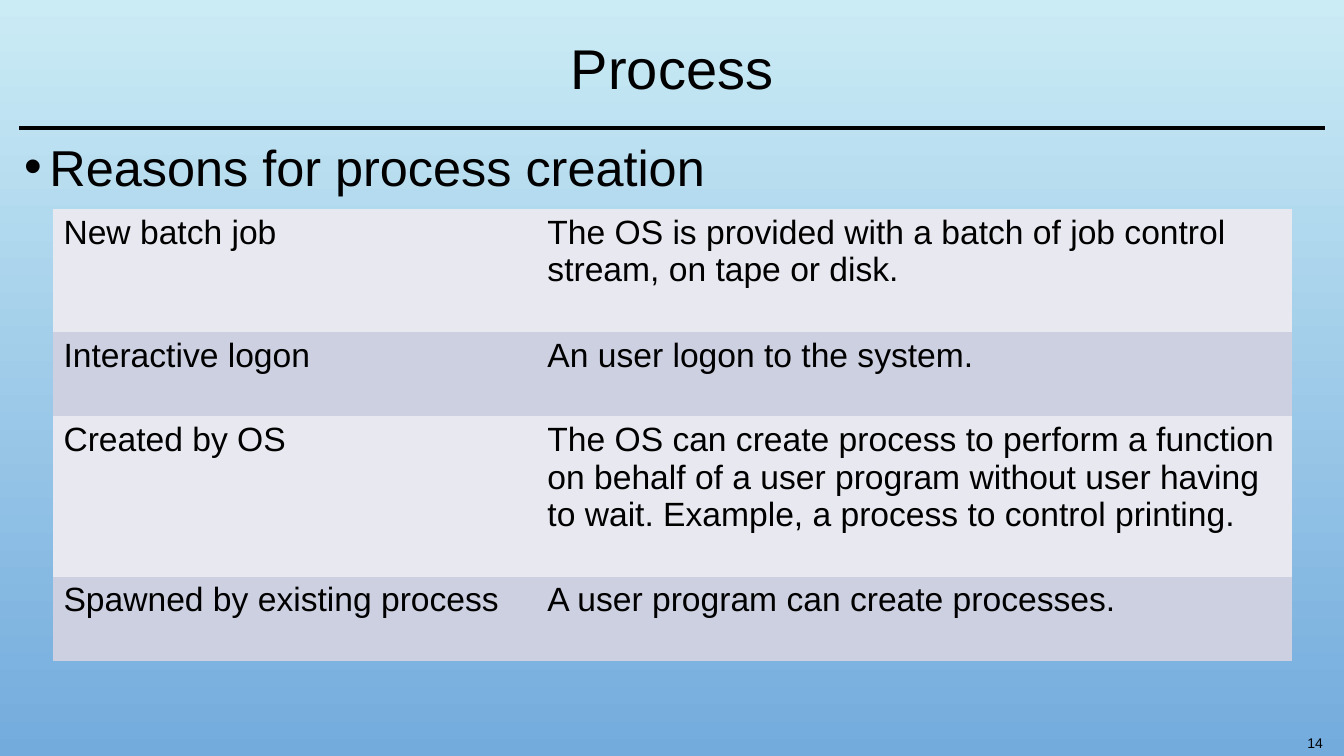
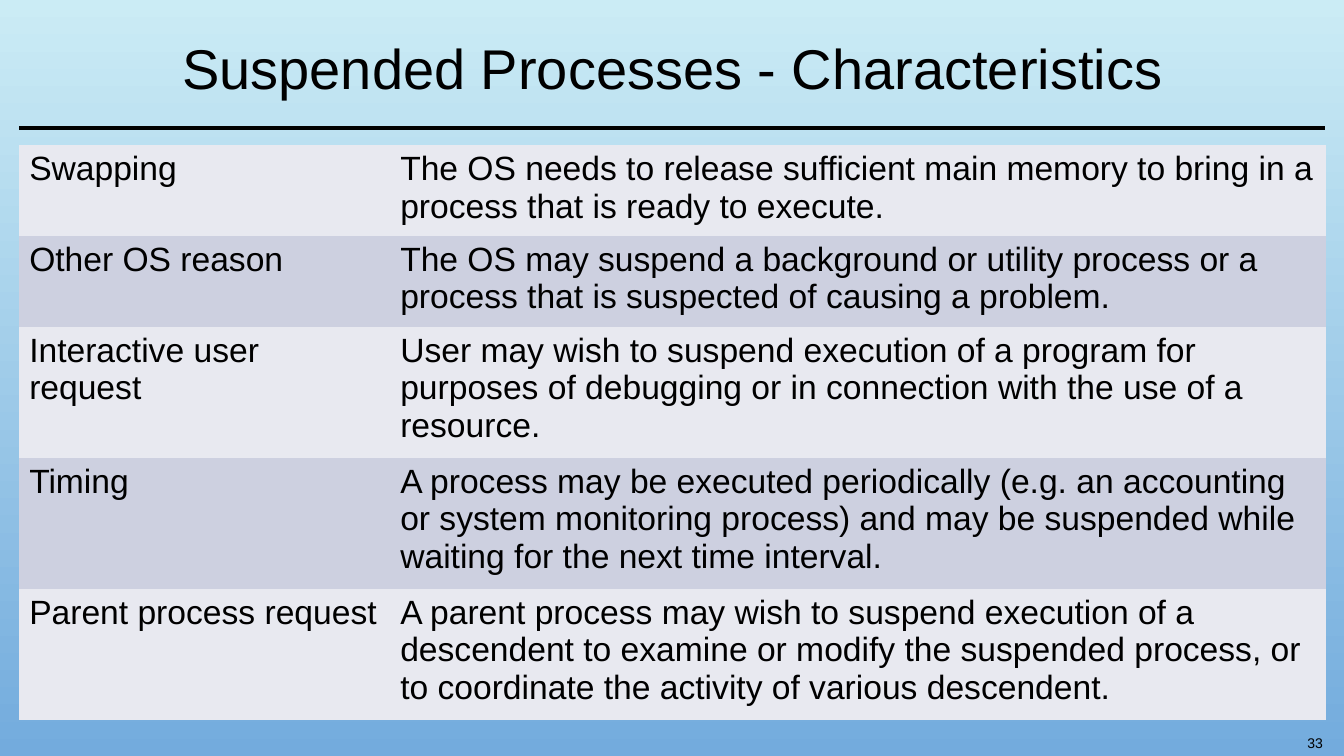
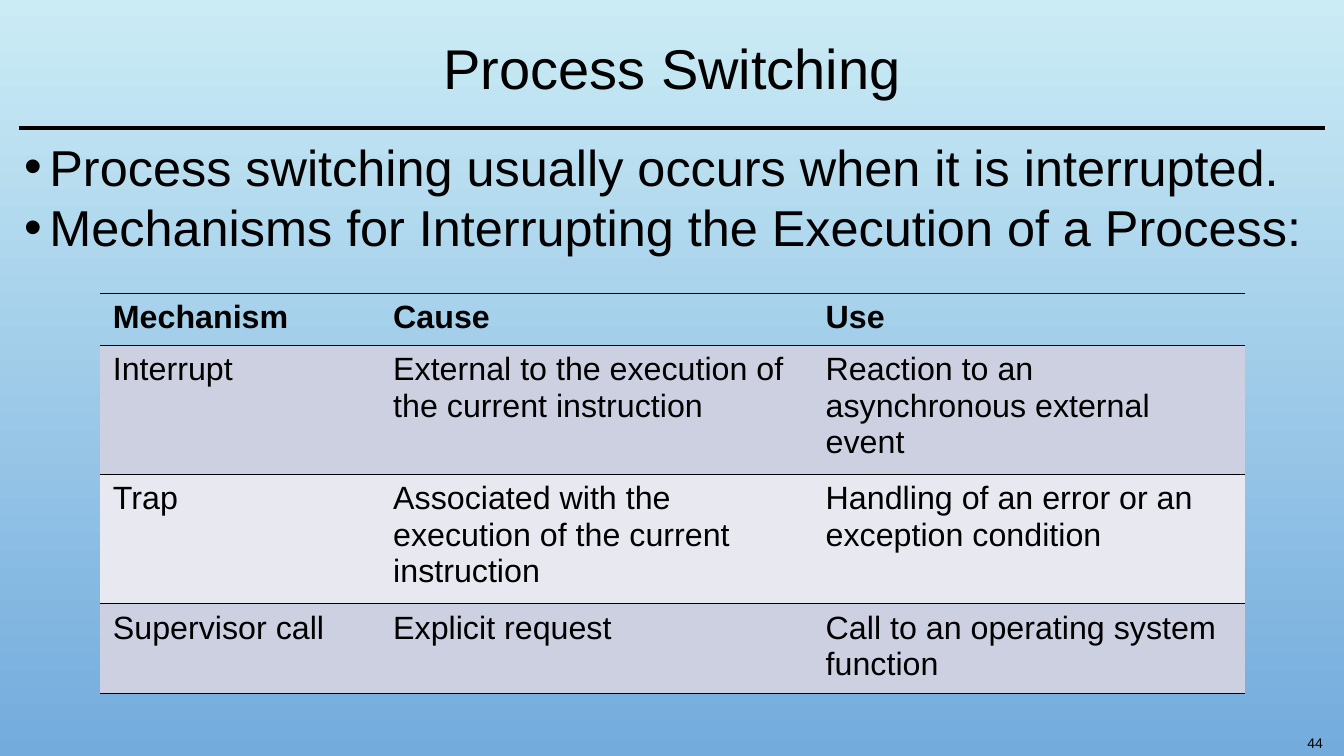
from lxml.etree import SubElement as Sub
from pptx import Presentation
from pptx.dml.color import RGBColor
from pptx.enum.shapes import MSO_CONNECTOR as Link
from pptx.enum.text import MSO_ANCHOR as Anchor, PP_ALIGN as Align
from pptx.oxml.ns import qn
from pptx.util import Inches, Pt

BLACK = RGBColor(0x00, 0x00, 0x00)
SKY = RGBColor(0xCB, 0xEC, 0xF5)
BLUE = RGBColor(0x73, 0xAB, 0xDD)
LIGHT = RGBColor(0xE8, 0xE9, 0xF0)
DARK = RGBColor(0xCD, 0xD0, 0xE0)
FONT = "Arial"
PLAIN = "{2D5ABB26-0587-4C30-8999-92F81FD0307C}"
LEFT, WIDTH = 0.19, 12.95

REASONS = [
    ("New batch job",
     "The OS is provided with a batch of job control stream, on tape or disk."),
    ("Interactive logon", "An user logon to the system."),
    ("Created by OS",
     "The OS can create process to perform a function on behalf of a user program "
     "without user having to wait. Example, a process to control printing."),
    ("Spawned by existing process", "A user program can create processes."),
]
TRAITS = [
    ("Swapping",
     "The OS needs to release sufficient main memory to bring in a process "
     "that is ready to execute."),
    ("Other OS reason",
     "The OS may suspend a background or utility process or a process "
     "that is suspected of causing a problem."),
    ("Interactive user request",
     "User may wish to suspend execution of a program for purposes of debugging "
     "or in connection with the use of a resource."),
    ("Timing",
     "A process may be executed periodically (e.g. an accounting or system monitoring "
     "process) and may be suspended while waiting for the next time interval."),
    ("Parent process request",
     "A parent process may wish to suspend execution of a descendent to examine or modify "
     "the suspended process, or to coordinate the activity of various descendent."),
]
SWITCHES = [
    ("Mechanism", "Cause", "Use"),
    ("Interrupt", "External to the execution of the current instruction",
     "Reaction to an asynchronous external event"),
    ("Trap", "Associated with the execution of the current instruction",
     "Handling of an error or an exception condition"),
    ("Supervisor call", "Explicit request", "Call to an operating system function"),
]


def style(para, size, bold=False):
    for run in para.runs:
        font = run.font
        font.name, font.size, font.bold = FONT, Pt(size), bold
        font.color.rgb = BLACK


def pad(box, side, edge):
    box.margin_left = box.margin_right = Inches(side)
    box.margin_top = box.margin_bottom = Inches(edge)


def add_text(slide, place, text, size, align=Align.LEFT, anchor=Anchor.MIDDLE, inset=0.05):
    frame = slide.shapes.add_textbox(*map(Inches, place)).text_frame
    frame.word_wrap = True
    frame.vertical_anchor = anchor
    pad(frame, inset, inset)
    frame.text = text
    for para in frame.paragraphs:
        para.alignment = align
        style(para, size)
    return frame


def add_rule(slide):
    rule = slide.shapes.add_connector(
        Link.STRAIGHT, *map(Inches, (LEFT, 1.27, LEFT + WIDTH, 1.27)))
    rule.line.color.rgb = BLACK
    rule.line.width = Pt(2.25)
    Sub(rule._element.spPr, qn("a:effectLst"))


def add_slide(prs, title, number):
    slide = prs.slides.add_slide(prs.slide_layouts[6])
    add_rule(slide)
    head = add_text(slide, (LEFT, 0.17, WIDTH, 1.07), title, 40, Align.CENTER)
    head.paragraphs[0].line_spacing = 0.9
    add_text(slide, (12.54, 7.26, 0.6, 0.23), str(number), 10, Align.RIGHT, inset=0.02)
    return slide


def add_points(slide, points):
    frame = add_text(slide, (LEFT, 1.3, WIDTH, 5.95), "\n".join(points), 36,
                     anchor=Anchor.TOP)
    for para in frame.paragraphs:
        props = para._p.get_or_add_pPr()
        props.set("marL", str(Inches(0.25)))
        props.set("indent", str(-Inches(0.25)))
        Sub(props, qn("a:buFont"), typeface=FONT)
        Sub(props, qn("a:buChar"), char="•")


def add_border(cell, side):
    props = cell._tc.get_or_add_tcPr()
    line = Sub(props, qn(f"a:{side}"), w=str(Pt(1)))
    fill = Sub(line, qn("a:solidFill"))
    Sub(fill, qn("a:srgbClr"), val=str(BLACK))


def add_grid(slide, left, top, cols, rows, data, size=24, head=False):
    place = map(Inches, (left, top, sum(cols), sum(rows)))
    table = slide.shapes.add_table(len(rows), len(cols), *place).table
    table.first_row = table.horz_banding = False
    table._tbl.tblPr.find(qn("a:tableStyleId")).text = PLAIN
    for col, width in zip(table.columns, cols):
        col.width = Inches(width)
    for i, (row, height, texts) in enumerate(zip(table.rows, rows, data)):
        row.height = Inches(height)
        for cell, text in zip(row.cells, texts):
            cell.text = text
            style(cell.text_frame.paragraphs[0], size, head and i == 0)
            if head:
                pad(cell, 0.13, 0.06)
                add_border(cell, "lnT")
                add_border(cell, "lnB")
            if head and i == 0:
                cell.fill.background()
            else:
                cell.fill.solid()
                cell.fill.fore_color.rgb = DARK if i % 2 else LIGHT


def set_back(prs):
    fill = prs.slide_master.background.fill
    fill.gradient()
    fill.gradient_angle = 270
    for stop, color, spot in zip(fill.gradient_stops, (SKY, BLUE), (0, 1)):
        stop.color.rgb = color
        stop.position = spot


def main():
    prs = Presentation()
    prs.slide_width, prs.slide_height = Inches(13.33), Inches(7.5)
    set_back(prs)

    slide = add_slide(prs, "Process", 14)
    add_points(slide, ["Reasons for process creation"])
    add_grid(slide, 0.53, 2.07, (4.8, 7.48), (1.22, 0.84, 1.59, 0.84), REASONS)

    slide = add_slide(prs, "Suspended Processes - Characteristics", 33)
    add_grid(slide, LEFT, 1.44, (3.68, 9.28), (0.84, 0.84, 1.22, 1.22, 1.22), TRAITS)

    slide = add_slide(prs, "Process Switching", 44)
    add_points(slide, ["Process switching usually occurs when it is interrupted.",
                       "Mechanisms for Interrupting the Execution of a Process:"])
    add_grid(slide, 0.99, 2.91, (2.78, 4.29, 4.29), (0.52, 1.28, 1.28, 0.89),
             SWITCHES, 23, True)

    prs.save("out.pptx")


if __name__ == "__main__":
    main()
